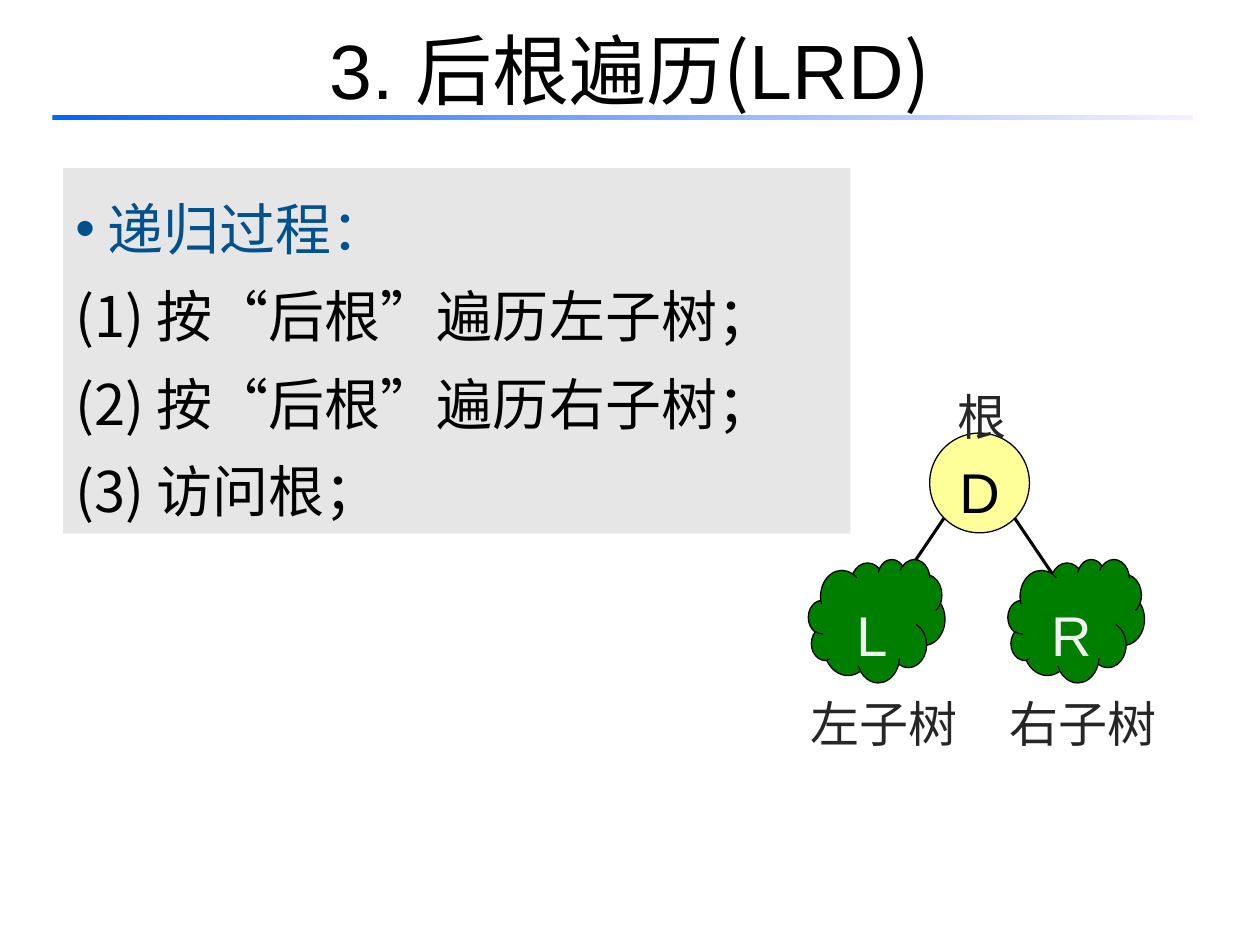
from lxml import etree
from pptx import Presentation
from pptx.dml.color import RGBColor
from pptx.enum.shapes import MSO_CONNECTOR, MSO_SHAPE
from pptx.enum.text import MSO_ANCHOR, PP_ALIGN
from pptx.oxml.ns import qn
from pptx.util import Pt

RECTANGLE, OVAL, CLOUD = MSO_SHAPE.RECTANGLE, MSO_SHAPE.OVAL, MSO_SHAPE.CLOUD
STRAIGHT = MSO_CONNECTOR.STRAIGHT
TOP, MIDDLE = MSO_ANCHOR.TOP, MSO_ANCHOR.MIDDLE
LEFT, CENTER = PP_ALIGN.LEFT, PP_ALIGN.CENTER

BLACK = RGBColor(0x00, 0x00, 0x00)
PANEL_GREY = RGBColor(0xE6, 0xE6, 0xE6)
HEADING_BLUE = RGBColor(0x00, 0x51, 0x8E)
RULE_BLUE = RGBColor(0x00, 0x66, 0xFF)
RULE_PALE = RGBColor(0xF7, 0xEF, 0xFF)
ROOT_YELLOW = RGBColor(0xFF, 0xFF, 0x99)
TREE_GREEN = RGBColor(0x00, 0x7E, 0x00)
TREE_TEXT = RGBColor(0xF2, 0xF2, 0xF2)
LABEL_GREY = RGBColor(0x26, 0x26, 0x26)
LATIN, CHINESE = "Arial", "Noto Sans CJK SC"

deck = Presentation()
deck.slide_width, deck.slide_height = Pt(720), Pt(540)
page = deck.slides.add_slide(deck.slide_layouts[6])


def add_block(kind, left, top, width, height, fill, outlined=False):
    block = page.shapes.add_shape(kind, Pt(left), Pt(top), Pt(width), Pt(height))
    block.shadow.inherit = False
    if fill is not None:
        block.fill.solid()
        block.fill.fore_color.rgb = fill
    if outlined:
        block.line.color.rgb = BLACK
        block.line.width = Pt(0.75)
    else:
        block.line.fill.background()
    return block


def write_line(box, text, size, color, spacing, align, anchor):
    frame = box.text_frame
    frame.vertical_anchor = anchor
    para = frame.paragraphs[0]
    para.text = text
    para.alignment = align
    para.line_spacing = spacing
    para.font.name = LATIN
    para.font.size = Pt(size)
    para.font.color.rgb = color


# Panel with the recursive steps
panel = add_block(RECTANGLE, 36, 96, 450, 209, PANEL_GREY)
frame = panel.text_frame
frame.word_wrap = True
frame.vertical_anchor = TOP
steps = [" 递归过程：", " 按“后根”遍历左子树；", " 按“后根”遍历右子树；", " 访问根；"]
for index, step in enumerate(steps):
    para = frame.paragraphs[0] if index == 0 else frame.add_paragraph()
    para.text = step
    para.alignment = LEFT
    para.line_spacing = 1.3
    properties = para._p.get_or_add_pPr()
    properties.set("marL", str(Pt(8.64)))
    properties.set("indent", str(-Pt(8.64)))
    bullet_font = etree.SubElement(properties, qn("a:buFont"))
    if index == 0:
        bullet_font.set("typeface", LATIN)
        etree.SubElement(properties, qn("a:buChar")).set("char", "•")
    else:
        bullet_font.set("typeface", CHINESE)
        etree.SubElement(properties, qn("a:buAutoNum")).set("type", "arabicParenBoth")
    para.font.name = LATIN
    para.font.size = Pt(32)
    para.font.color.rgb = HEADING_BLUE if index == 0 else BLACK

# Title
title = page.shapes.add_textbox(Pt(36), Pt(-6), Pt(648), Pt(90))
title.text_frame.word_wrap = True
title.text_frame.vertical_anchor = MIDDLE
para = title.text_frame.paragraphs[0]
para.alignment = CENTER
para.font.size = Pt(44)
para.font.color.rgb = BLACK
for text, font in [("3. ", LATIN), ("后根遍历(", CHINESE), ("LRD", LATIN), (")", CHINESE)]:
    span = para.add_run()
    span.text = text
    span.font.name = font

# Fading rule under the title
rule = add_block(RECTANGLE, 30, 65.5, 652, 3, None)
rule.fill.gradient()
rule.fill.gradient_angle = 0
for stop, color in zip(rule.fill.gradient_stops, (RULE_BLUE, RULE_PALE)):
    stop.color.rgb = color

# Root node
root = add_block(OVAL, 531.25, 247.5, 57, 57, ROOT_YELLOW, outlined=True)
root.text_frame.word_wrap = False
write_line(root, "D", 32, BLACK, 1.25, CENTER, MIDDLE)

# Branches
for start_x, end_x in [(539.5, 517.5), (579.75, 601.75)]:
    branch = page.shapes.add_connector(STRAIGHT, Pt(start_x), Pt(296), Pt(end_x), Pt(328.5))
    branch.line.color.rgb = BLACK
    branch.line.width = Pt(1.75)
    etree.SubElement(branch._element.spPr, qn("a:effectLst"))

# Subtrees
for left, letter in [(462, "L"), (576, "R")]:
    subtree = add_block(CLOUD, left, 319.5, 78, 70.5, TREE_GREEN, outlined=True)
    subtree.text_frame.word_wrap = True
    write_line(subtree, letter, 32, TREE_TEXT, 1.25, CENTER, TOP)

# Labels
for left, top, width, text in [(540, 204, 66, "根"), (456, 379.5, 108, "左子树"), (570, 379.5, 108, "右子树")]:
    label = page.shapes.add_textbox(Pt(left), Pt(top), Pt(width), Pt(55))
    label.text_frame.word_wrap = True
    write_line(label, text, 28, LABEL_GREY, 1.4, LEFT, TOP)

deck.save("out.pptx")
